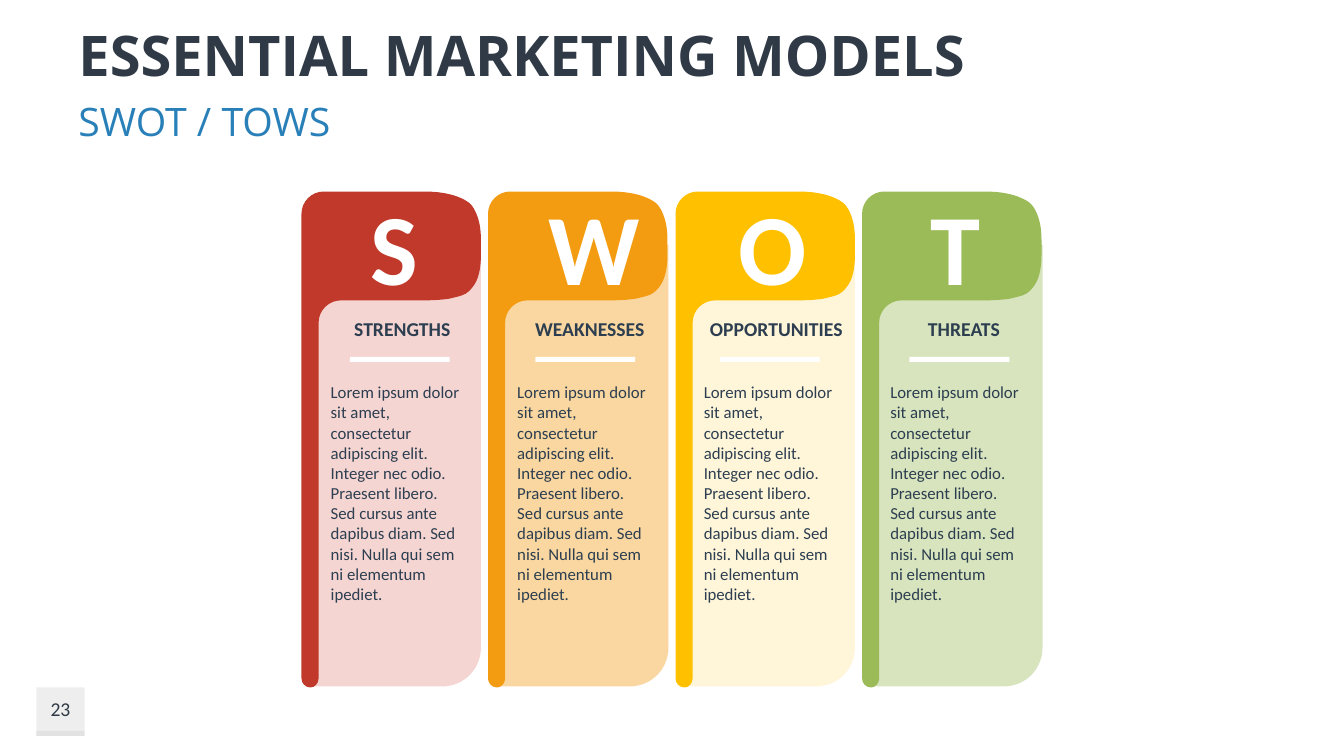
from dataclasses import dataclass

from lxml import etree
from pptx import Presentation
from pptx import util as u
from pptx.dml.color import RGBColor
from pptx.enum import shapes, text
from pptx.oxml.ns import qn

PX = 9144  # EMU in one px, 100 px to the inch


@dataclass(frozen=True)
class Theme:
    heading_font: str = "Open Sans"
    body_font: str = "Calibri"
    title: str = "2F3A46"
    subtitle: str = "2980B9"
    ink: str = "2C3E50"
    white: str = "FFFFFF"
    badge: str = "BFBFBF"
    title_size: int = 40
    subtitle_size: int = 28
    letter_size: int = 72
    label_size: int = 14
    body_size: int = 12


THEME = Theme()


@dataclass(frozen=True)
class Column:
    label: str
    tab_color: str
    panel_color: str
    panel_opacity: int
    letter_left: int
    rule_left: int


COLUMNS = [
    Column("STRENGTHS", "C0392B", "F5D5D2", 100, 347, 347),
    Column("WEAKNESSES", "F39C12", "FAD7A0", 100, 534, 531),
    Column("OPPORTUNITIES", "FFC000", "FFC000", 15, 722, 714),
    Column("THREATS", "9BBB59", "D7E4BD", 100, 903, 902),
]
BODY = (
    "Lorem ipsum dolor sit amet, consectetur adipiscing elit. Integer nec odio. "
    "Praesent libero. Sed cursus ante dapibus diam. Sed nisi. Nulla qui sem "
    "ni elementum ipediet."
)

# Outlines: a pair is a straight line to a point, six numbers are a Bézier curve.
PANEL_OUTLINE = [
    (172, 0), (0, 0), (0, 438), (133, 438),
    (155, 438, 172, 421, 172, 399), (172, 0),
]
TAB_OUTLINE = [
    (17, 130), (17, 483),
    (17, 488, 13, 492, 9, 492), (4, 492, 0, 488, 0, 483),
    (0, 22), (0, 10, 10, 0, 22, 0),
    (121, 0), (132, 0, 140, 1, 148, 3), (156, 5, 162, 8, 166, 11),
    (170, 14, 173, 20, 175, 26), (177, 32, 178, 40, 178, 49),
    (178, 62), (178, 71, 177, 79, 175, 85), (173, 91, 170, 95, 166, 99),
    (162, 103, 156, 104, 148, 106), (144, 107, 132, 108, 121, 108),
    (39, 108), (27, 108, 17, 118, 17, 130),
]


def paint(shape, color, opacity=100):
    """Give the shape a plain fill with no line or shadow."""
    shape.shadow.inherit = False
    shape.line.fill.background()
    shape.fill.solid()
    shape.fill.fore_color.rgb = RGBColor.from_string(color)
    if opacity < 100:
        color_element = shape.fill._xPr.find(qn("a:solidFill"))[0]
        alpha = etree.SubElement(color_element, qn("a:alpha"))
        alpha.set("val", str(opacity * 1000))


def write(shape, content, *, size, color, font=THEME.body_font, bold=False,
          align=text.PP_ALIGN.LEFT, anchor=text.MSO_ANCHOR.TOP,
          insets=(10, 5, 10, 5), grow=False):
    frame = shape.text_frame
    frame.word_wrap = True
    frame.vertical_anchor = anchor
    frame.auto_size = (text.MSO_AUTO_SIZE.SHAPE_TO_FIT_TEXT if grow
                       else text.MSO_AUTO_SIZE.NONE)
    (frame.margin_left, frame.margin_top,
     frame.margin_right, frame.margin_bottom) = [inset * PX for inset in insets]
    paragraph = frame.paragraphs[0]
    paragraph.alignment = align
    run = paragraph.add_run()
    run.text = content
    run.font.name = font
    run.font.size = u.Pt(size)
    run.font.bold = bold
    run.font.color.rgb = RGBColor.from_string(color)


def add_text(slide, box, content, **text_format):
    shape = slide.shapes.add_textbox(*[length * PX for length in box])
    write(shape, content, **text_format)


def add_rectangle(slide, box, color, opacity=100):
    shape = slide.shapes.add_shape(
        shapes.MSO_SHAPE.RECTANGLE, *[length * PX for length in box])
    paint(shape, color, opacity)


def bend(line, segment):
    """Turn a straight path segment into a Bézier curve."""
    line.tag = qn("a:cubicBezTo")
    end = line[0]
    for x, y in (segment[:2], segment[2:4]):
        control = etree.Element(qn("a:pt"))
        control.set("x", str(x))
        control.set("y", str(y))
        end.addprevious(control)


def add_outline(slide, left, top, outline, color, opacity=100):
    builder = slide.shapes.build_freeform(*outline[0], scale=PX)
    builder.add_line_segments([segment[-2:] for segment in outline[1:]], close=True)
    shape = builder.convert_to_shape(left * PX, top * PX)
    lines = list(shape._element.iter(qn("a:lnTo")))
    for line, segment in zip(lines, outline[1:]):
        if len(segment) == 6:
            bend(line, segment)
    paint(shape, color, opacity)
    return shape


def add_column(slide, index, column):
    centre = text.PP_ALIGN.CENTER
    panel_left = 305 + round(index * 185.7)
    tab_left = 299 + index * 371 // 2
    body_left = 328 + round(index * 185.1)

    panel = add_outline(slide, panel_left, 243, PANEL_OUTLINE,
                        column.panel_color, column.panel_opacity)
    write(panel, column.label, size=THEME.label_size, color=THEME.ink, bold=True,
          align=centre, insets=(20, 71, 4, 4))
    add_outline(slide, tab_left, 190, TAB_OUTLINE, column.tab_color)
    add_text(slide, (column.letter_left, 178, 89, 131), column.label[0],
             size=THEME.letter_size, color=THEME.white, bold=True,
             align=centre, grow=True)
    add_text(slide, (body_left, 374, 142, 232), BODY, size=THEME.body_size,
             color=THEME.ink, insets=(0, 5, 10, 5), grow=True)
    add_rectangle(slide, (column.rule_left, 354, 99, 5), THEME.white)


def add_page_number(slide, number):
    add_rectangle(slide, (36, 682, 48, 48), THEME.badge, 25)
    add_rectangle(slide, (36, 725, 48, 5), THEME.badge, 25)
    add_text(slide, (36, 682, 48, 43), number, size=THEME.label_size,
             color=THEME.title, align=text.PP_ALIGN.CENTER,
             anchor=text.MSO_ANCHOR.MIDDLE)


def main():
    presentation = Presentation()
    presentation.slide_width = 1333 * PX
    presentation.slide_height = 750 * PX
    slide = presentation.slides.add_slide(presentation.slide_layouts[6])

    add_page_number(slide, "23")
    add_text(slide, (68, 15, 1072, 77), "ESSENTIAL MARKETING MODELS",
             size=THEME.title_size, color=THEME.title, font=THEME.heading_font,
             bold=True, anchor=text.MSO_ANCHOR.MIDDLE, grow=True)
    add_text(slide, (68, 92, 1072, 57), "SWOT / TOWS", size=THEME.subtitle_size,
             color=THEME.subtitle, font=THEME.heading_font, grow=True)
    for index, column in enumerate(COLUMNS):
        add_column(slide, index, column)

    presentation.save("out.pptx")


if __name__ == "__main__":
    main()
